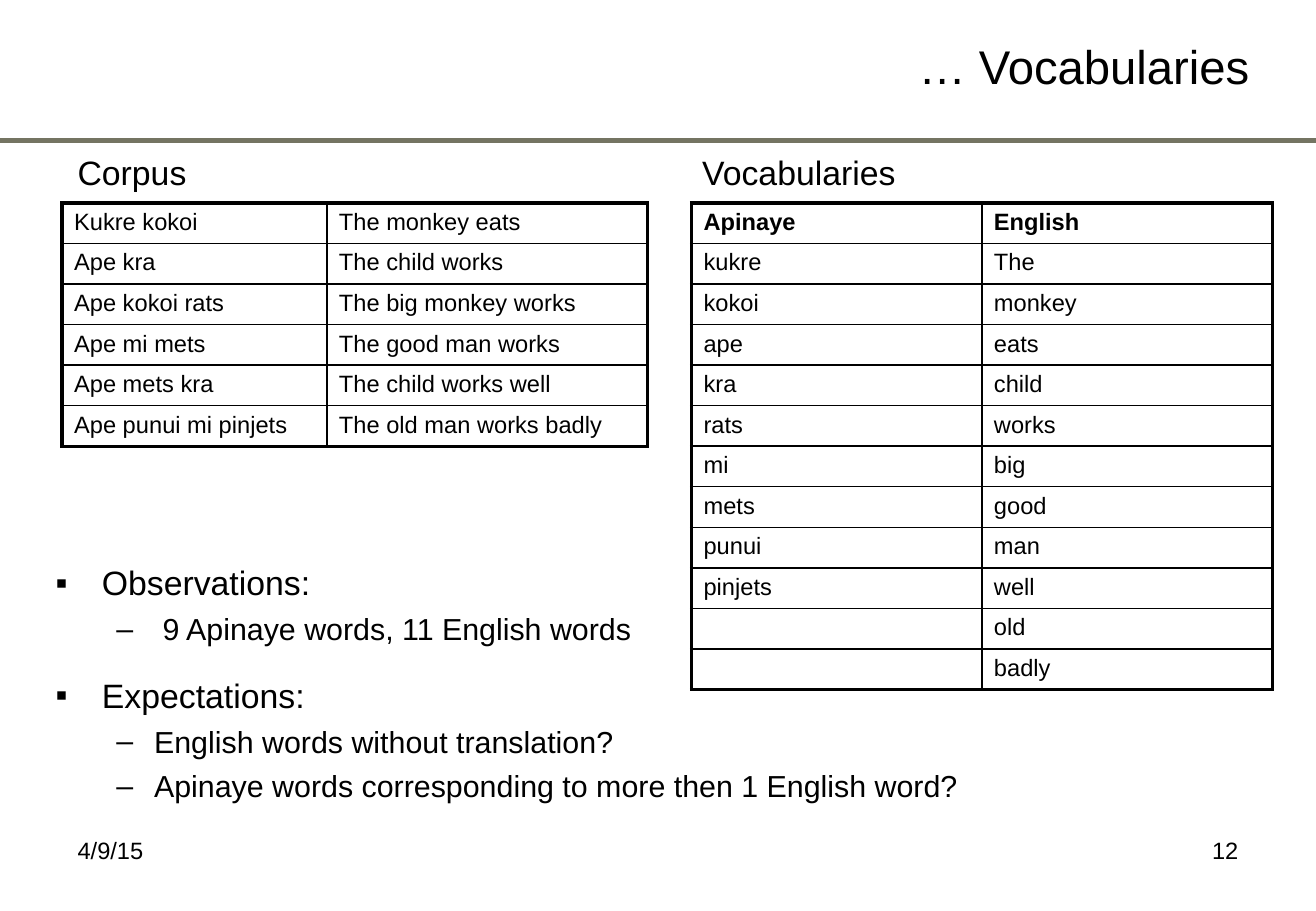
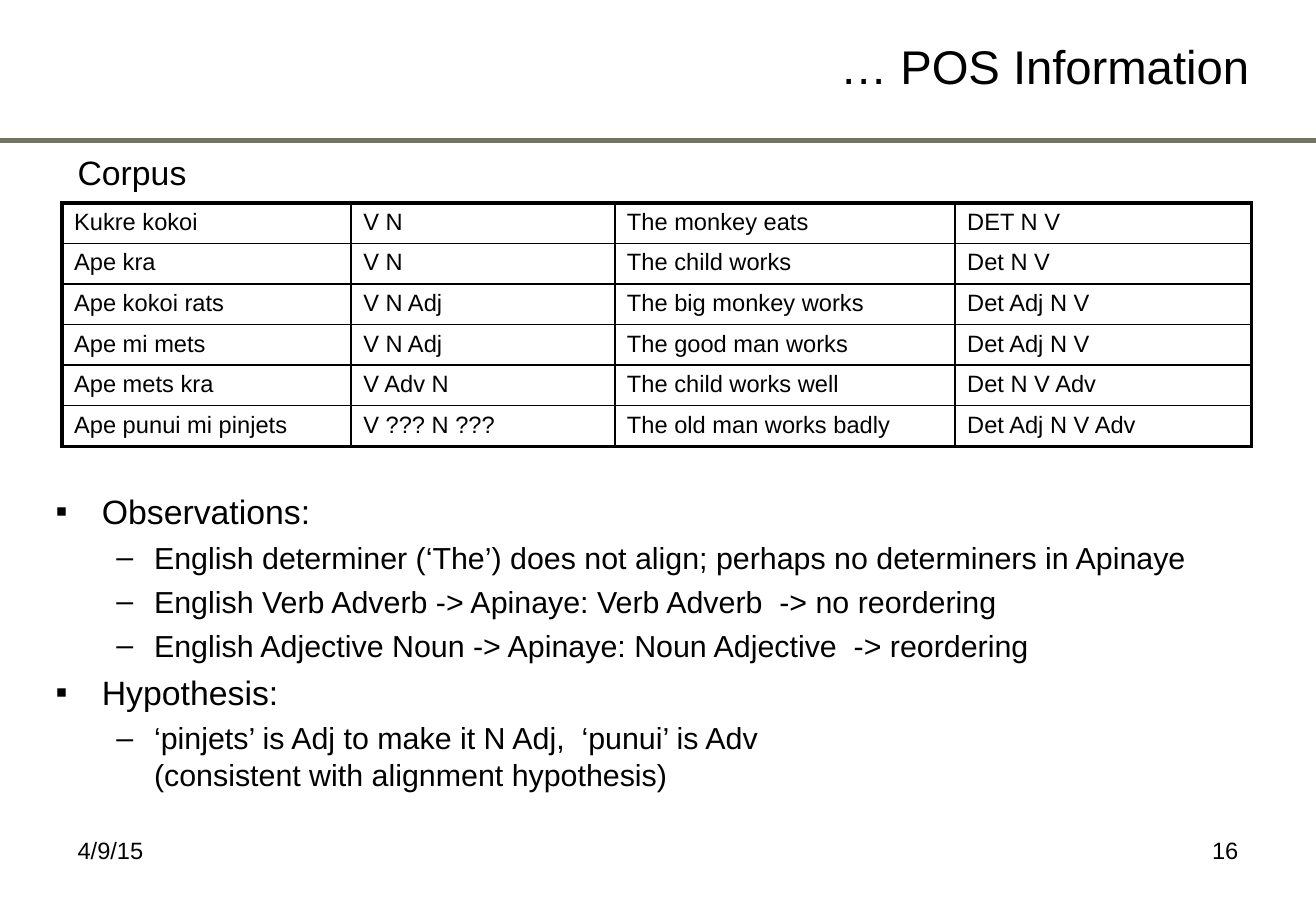
from dataclasses import dataclass

from lxml.etree import SubElement
from pptx import Presentation
from pptx.dml.color import RGBColor
from pptx.enum.shapes import MSO_CONNECTOR as Connector
from pptx.enum.text import MSO_ANCHOR as Anchor, MSO_AUTO_SIZE as AutoSize, PP_ALIGN as Align
from pptx.oxml.ns import qn
from pptx.util import Inches, Pt

FONT = "Arial"
BLACK = "000000"
RULE = "747462"
WIDTH, HEIGHT = 10.83, 7.5
TABLE_TOP = 1.67
ROW_HEIGHT = 1 / 3
CELL_SIZE = 14
THICK, THIN = 2.25, 1


@dataclass(frozen=True)
class Grid:
    caption: str
    caption_left: float
    left: float
    widths: tuple[float, ...]
    rows: tuple[tuple[str, ...], ...]
    has_header: bool = False


@dataclass(frozen=True)
class Level:
    bullet: str
    margin: float
    indent: float
    size: int
    before: float


@dataclass(frozen=True)
class Item:
    text: str
    level: Level
    extra_before: float = 0


@dataclass(frozen=True)
class Page:
    title: str
    number: str
    grids: tuple[Grid, ...]
    items_top: float
    items: tuple[Item, ...]


MAIN = Level("▪", 0.38, -0.38, 20, 4.8)
SUB = Level("–", 0.81, -0.31, 18, 4.5)

APINAYE = ("Kukre kokoi", "Ape kra", "Ape kokoi rats", "Ape mi mets",
           "Ape mets kra", "Ape punui mi pinjets")
APINAYE_POS = ("V N", "V N", "V N Adj", "V N Adj", "V Adv N", "V ??? N ???")
ENGLISH = ("The monkey eats", "The child works", "The big monkey works",
           "The good man works", "The child works well", "The old man works badly")
ENGLISH_POS = ("DET N V", "Det N V", "Det Adj N V", "Det Adj N V",
               "Det N V Adv", "Det Adj N V Adv")
APINAYE_WORDS = ("Apinaye", "kukre", "kokoi", "ape", "kra", "rats", "mi",
                 "mets", "punui", "pinjets", "", "")
ENGLISH_WORDS = ("English", "The", "monkey", "eats", "child", "works", "big",
                 "good", "man", "well", "old", "badly")

PAGES = (
    Page(
        "… Vocabularies", "12",
        (
            Grid("Corpus", 0.54, 0.51, (2.18, 2.64), tuple(zip(APINAYE, ENGLISH))),
            Grid("Vocabularies", 5.68, 5.69, (2.39, 2.39),
                 tuple(zip(APINAYE_WORDS, ENGLISH_WORDS)), True),
        ),
        4.58,
        (
            Item("Observations:", MAIN),
            Item(" 9 Apinaye words, 11 English words", SUB),
            Item("Expectations:", MAIN, 12),
            Item("English words without translation?", SUB),
            Item("Apinaye words corresponding to more then 1 English word?", SUB),
        ),
    ),
    Page(
        "… POS Information", "16",
        (
            Grid("Corpus", 0.54, 0.51, (2.38, 2.17, 2.8, 2.44),
                 tuple(zip(APINAYE, APINAYE_POS, ENGLISH, ENGLISH_POS))),
        ),
        3.99,
        (
            Item("Observations:", MAIN),
            Item("English determiner (‘The’) does not align; "
                 "perhaps no determiners in Apinaye", SUB),
            Item("English Verb Adverb -> Apinaye: Verb Adverb  -> no reordering", SUB),
            Item("English Adjective Noun -> Apinaye: Noun Adjective  -> reordering", SUB),
            Item("Hypothesis:", MAIN),
            Item("‘pinjets’ is Adj to make it N Adj,  ‘punui’ is Adv\n"
                 "(consistent with alignment hypothesis)", SUB),
        ),
    ),
)


def rgb(color: str) -> RGBColor:
    return RGBColor.from_string(color)


def write(p, text: str, size: float, bold: bool = False) -> None:
    for i, line in enumerate(text.split("\n")):
        if i:
            p.add_line_break()
        r = p.add_run()
        r.text = line
        r.font.name = FONT
        r.font.size = Pt(size)
        r.font.bold = bold
        r.font.color.rgb = rgb(BLACK)


def add_box(s, left: float, top: float, width: float, height: float):
    tf = s.shapes.add_textbox(*map(Inches, (left, top, width, height))).text_frame
    tf.word_wrap = True
    return tf


def add_label(s, text: str, left: float, top: float, width: float,
              size: float, align: Align = Align.LEFT) -> None:
    p = add_box(s, left, top, width, 0.5).paragraphs[0]
    p.alignment = align
    write(p, text, size)


def add_frame(s, page: Page) -> None:
    title = s.shapes.title
    title.left, title.top, title.width, title.height = map(Inches, (0.48, 0.25, 9.9, 0.58))
    tf = title.text_frame
    tf.word_wrap = True
    tf.auto_size = AutoSize.NONE
    tf.vertical_anchor = Anchor.MIDDLE
    p = tf.paragraphs[0]
    p.alignment = Align.RIGHT
    write(p, page.title, 28)

    rule = s.shapes.add_connector(Connector.STRAIGHT, Inches(0), Inches(1.16),
                                  Inches(WIDTH), Inches(1.16))
    rule.line.color.rgb = rgb(RULE)
    rule.line.width = Pt(3)
    SubElement(rule._element.spPr, qn("a:effectLst"))

    add_label(s, "4/9/15", 0.54, 6.83, 2.53, 14)
    add_label(s, page.number, 7.76, 6.83, 2.53, 14, Align.RIGHT)


def set_border(cell, side: str, width: float) -> None:
    tc_pr = cell._tc.get_or_add_tcPr()
    ln = SubElement(tc_pr, qn(f"a:ln{side}"), w=str(Pt(width)))
    fill = SubElement(ln, qn("a:solidFill"))
    SubElement(fill, qn("a:srgbClr"), val=BLACK)


def add_grid(s, grid: Grid) -> None:
    add_label(s, grid.caption, grid.caption_left, 1.2, 4.6, 20)
    n_rows, n_cols = len(grid.rows), len(grid.widths)
    table = s.shapes.add_table(
        n_rows, n_cols, Inches(grid.left), Inches(TABLE_TOP),
        Inches(sum(grid.widths)), Inches(n_rows * ROW_HEIGHT)).table
    table.first_row = grid.has_header
    table.horz_banding = False
    for col, width in zip(table.columns, grid.widths):
        col.width = Inches(width)
    for i, row in enumerate(grid.rows):
        for j, text in enumerate(row):
            cell = table.cell(i, j)
            edges = {"L": j == 0, "R": j == n_cols - 1, "T": i == 0, "B": i == n_rows - 1}
            for side, outer in edges.items():
                set_border(cell, side, THICK if outer else THIN)
            cell.fill.background()
            p = cell.text_frame.paragraphs[0]
            if text:
                write(p, text, CELL_SIZE, grid.has_header and i == 0)
            else:
                SubElement(p._p, qn("a:endParaRPr"), sz=str(CELL_SIZE * 100))


def add_items(s, page: Page) -> None:
    tf = add_box(s, 0.36, page.items_top, 9.75, 2.2)
    for i, item in enumerate(page.items):
        p = tf.add_paragraph() if i else tf.paragraphs[0]
        level = item.level
        p_pr = p._p.get_or_add_pPr()
        p_pr.set("marL", str(Inches(level.margin)))
        p_pr.set("indent", str(Inches(level.indent)))
        SubElement(p_pr, qn("a:buFont"), typeface=FONT)
        SubElement(p_pr, qn("a:buChar"), char=level.bullet)
        if i:
            p.space_before = Pt(level.before + item.extra_before)
        write(p, item.text, level.size)


def main() -> None:
    prs = Presentation()
    prs.slide_width, prs.slide_height = Inches(WIDTH), Inches(HEIGHT)
    for page in PAGES:
        s = prs.slides.add_slide(prs.slide_layouts.get_by_name("Title Only"))
        add_frame(s, page)
        for grid in page.grids:
            add_grid(s, grid)
        add_items(s, page)
    prs.save("out.pptx")


if __name__ == "__main__":
    main()
